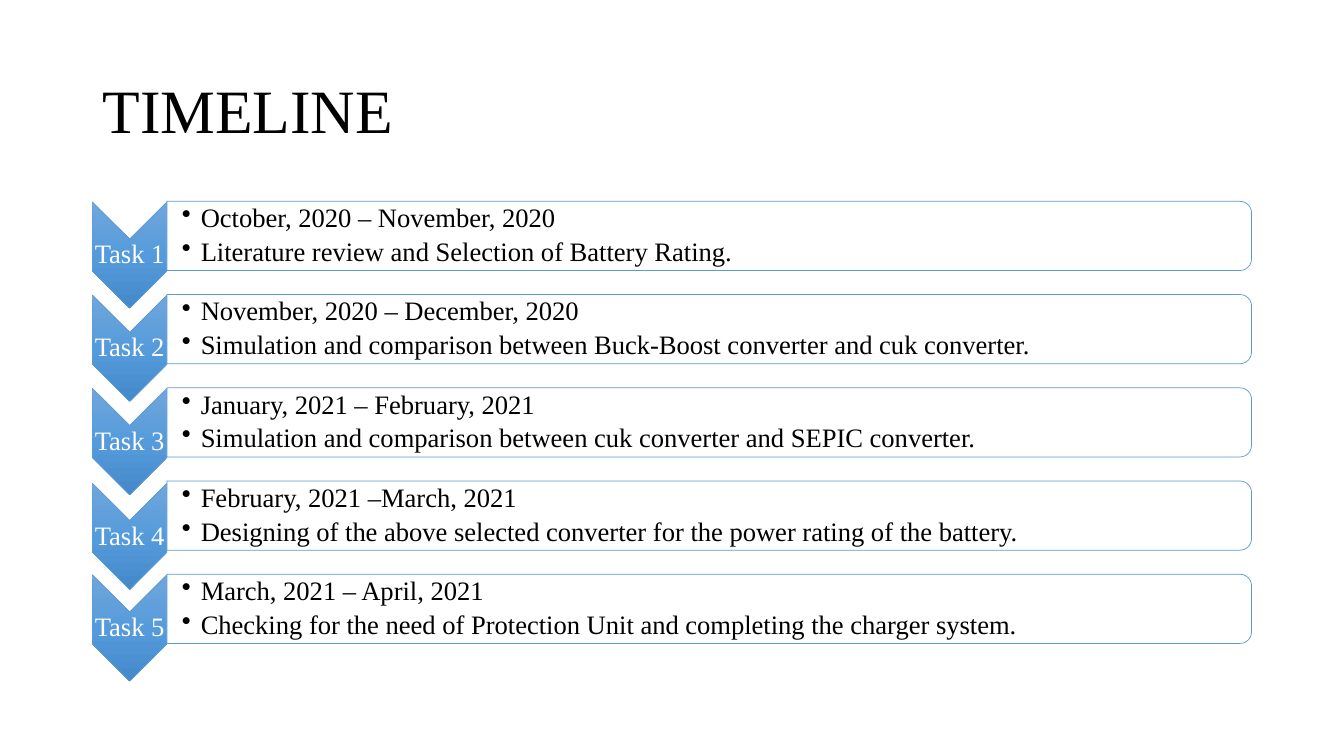
"""Build a timeline slide with five task chevrons and their descriptions."""
from dataclasses import dataclass

from lxml import etree
from pptx import Presentation
from pptx.dml.color import RGBColor
from pptx.enum.shapes import MSO_SHAPE
from pptx.enum.text import MSO_ANCHOR, MSO_AUTO_SIZE, PP_ALIGN
from pptx.oxml.ns import qn
from pptx.util import Pt

CHEVRON, BAR = MSO_SHAPE.CHEVRON, MSO_SHAPE.ROUND_2_SAME_RECTANGLE
MIDDLE, NO_FIT = MSO_ANCHOR.MIDDLE, MSO_AUTO_SIZE.NONE
LEFT, CENTER = PP_ALIGN.LEFT, PP_ALIGN.CENTER
FONT = "Times New Roman"
COLORS = {"text": "000000", "label": "FFFFFF", "bar": "FFFFFF", "line": "5B9BD5"}
GRADIENT = {0: "71A6DB", 50: "559BDB", 100: "448ACA"}
PITCH = 66.6
CHEVRON_X, CHEVRON_Y = 92.6, 182.2
CHEVRON_LENGTH, CHEVRON_WIDTH = 75.9, 53.2
BAR_X, BAR_Y = 506.6, 168.5
BAR_LENGTH, BAR_HEIGHT = 774.7, 49.4
TEXT_LEFT, TEXT_WIDTH, TEXT_HEIGHT = 119.3, 772.4, 44.6
LABEL_HEIGHT = 22.8
INDENT = 13.5


@dataclass
class Task:
    """One timeline row."""

    label: str
    period: str
    work: str
    nudge: float = 0


TASKS = [
    Task("Task 1", "October, 2020 – November, 2020",
         "Literature review and Selection of Battery Rating."),
    Task("Task 2", "November, 2020 – December, 2020",
         "Simulation and comparison between Buck-Boost converter and cuk converter."),
    Task("Task 3", "January, 2021 – February, 2021",
         "Simulation and comparison between cuk converter and SEPIC converter."),
    Task("Task 4", "February, 2021 –March, 2021",
         "Designing of the above selected converter for the power rating of the battery.",
         nudge=1.2),
    Task("Task 5", "March, 2021 – April, 2021",
         "Checking for the need of Protection Unit and completing the charger system."),
]


def add_run(p, text: str, size: float, color: str) -> None:
    """Add a formatted run with the slide's line spacing."""
    p.line_spacing = 0.9
    r = p.add_run()
    r.text = text
    r.font.name, r.font.size = FONT, Pt(size)
    r.font.color.rgb = RGBColor.from_string(COLORS[color])


def add_turned(shapes, kind, cx: float, cy: float, w: float, h: float):
    """Add an outlined shape, centred on a point and turned clockwise by 90 degrees."""
    sp = shapes.add_shape(kind, Pt(cx - w / 2), Pt(cy - h / 2), Pt(w), Pt(h))
    sp.rotation = 90
    sp.shadow.inherit = False
    sp.fill.solid()
    sp.fill.fore_color.rgb = RGBColor.from_string(COLORS["bar"])
    sp.line.color.rgb = RGBColor.from_string(COLORS["line"])
    sp.line.width = Pt(0.5)
    return sp


def set_gradient(sp) -> None:
    """Fill a shape with the vertical gradient, independent of its rotation."""
    solid = sp._element.spPr.find(qn("a:solidFill"))
    grad = etree.Element(qn("a:gradFill"), rotWithShape="0")
    stops = etree.SubElement(grad, qn("a:gsLst"))
    for percent, color in GRADIENT.items():
        stop = etree.SubElement(stops, qn("a:gs"), pos=str(percent * 1000))
        etree.SubElement(stop, qn("a:srgbClr"), val=color)
    etree.SubElement(grad, qn("a:lin"), ang="5400000", scaled="0")
    solid.getparent().replace(solid, grad)


def add_text_frame(shapes, x: float, cy: float, w: float, h: float, inset: float):
    """Add a vertically centred text box and return its text frame."""
    tf = shapes.add_textbox(Pt(x), Pt(cy - h / 2), Pt(w), Pt(h)).text_frame
    tf.word_wrap, tf.auto_size, tf.vertical_anchor = True, NO_FIT, MIDDLE
    tf.margin_left = Pt(inset)
    tf.margin_right = tf.margin_top = tf.margin_bottom = Pt(0.8)
    return tf


def set_bullet(p) -> None:
    """Give a paragraph a bullet with a hanging indent."""
    pPr = p._p.get_or_add_pPr()
    pPr.set("marL", str(Pt(INDENT)))
    pPr.set("indent", str(-Pt(INDENT)))
    etree.SubElement(pPr, qn("a:buChar"), char="•")


def add_task(shapes, task: Task, offset: float) -> None:
    """Draw the chevron, label, bar and bullets of one task."""
    y = CHEVRON_Y + offset + task.nudge
    set_gradient(add_turned(shapes, CHEVRON, CHEVRON_X, y, CHEVRON_LENGTH, CHEVRON_WIDTH))
    tf = add_text_frame(shapes, CHEVRON_X - CHEVRON_WIDTH / 2, y,
                        CHEVRON_WIDTH, LABEL_HEIGHT, 0.8)
    p = tf.paragraphs[0]
    p.alignment = CENTER
    add_run(p, task.label, 19, "label")

    y = BAR_Y + offset
    bar = add_turned(shapes, BAR, BAR_X, y, BAR_HEIGHT, BAR_LENGTH)
    color = bar._element.spPr.find(qn("a:solidFill"))[0]
    etree.SubElement(color, qn("a:alpha"), val="90000")
    tf = add_text_frame(shapes, TEXT_LEFT, y, TEXT_WIDTH, TEXT_HEIGHT, 10.6)
    for i, text in enumerate((task.period, task.work)):
        p = tf.add_paragraph() if i else tf.paragraphs[0]
        p.level, p.alignment, p.space_after = 1, LEFT, Pt(3.5)
        add_run(p, text, 19, "text")
        set_bullet(p)


def main() -> None:
    """Create and save the slide."""
    prs = Presentation()
    prs.slide_width, prs.slide_height = Pt(960), Pt(540)
    s = prs.slides.add_slide(prs.slide_layouts[5])
    title = s.shapes.title
    title.left, title.top, title.width, title.height = Pt(66), Pt(28.8), Pt(828), Pt(104.4)
    tf = title.text_frame
    tf.vertical_anchor, tf.auto_size, tf.word_wrap = MIDDLE, NO_FIT, True
    p = tf.paragraphs[0]
    p.alignment = LEFT
    add_run(p, "TIMELINE", 44, "text")
    timeline = s.shapes.add_group_shape()
    for i, task in enumerate(TASKS):
        add_task(timeline.shapes, task, i * PITCH)
    prs.save("out.pptx")


main()
